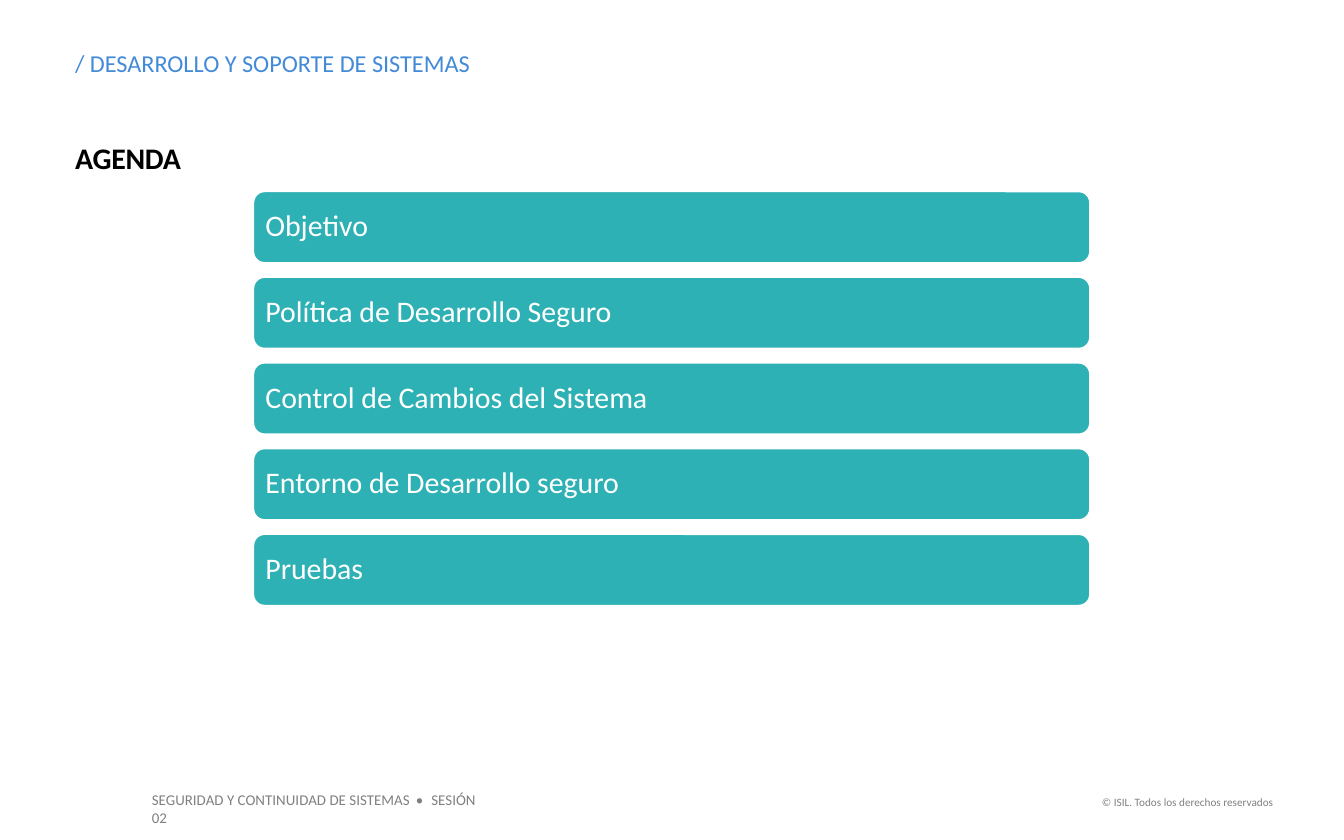
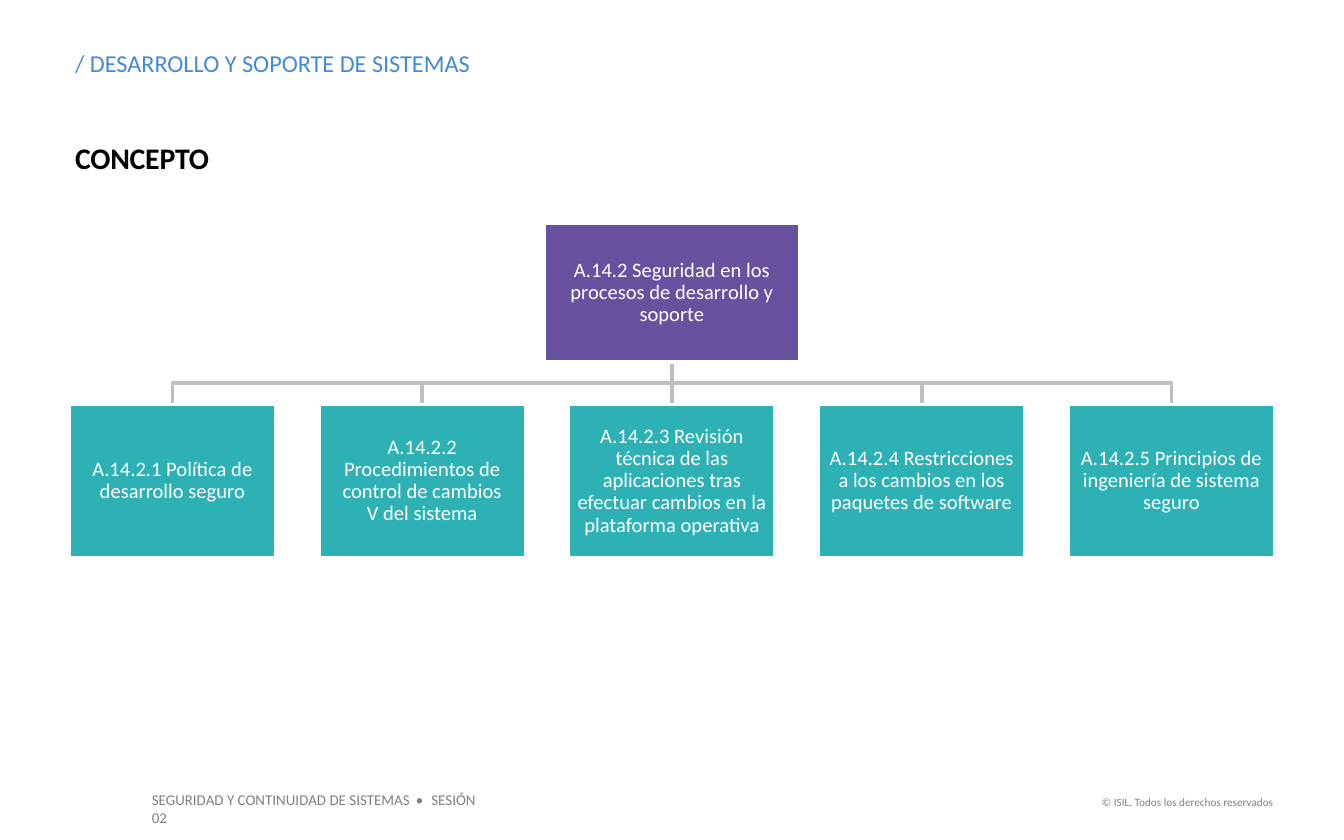
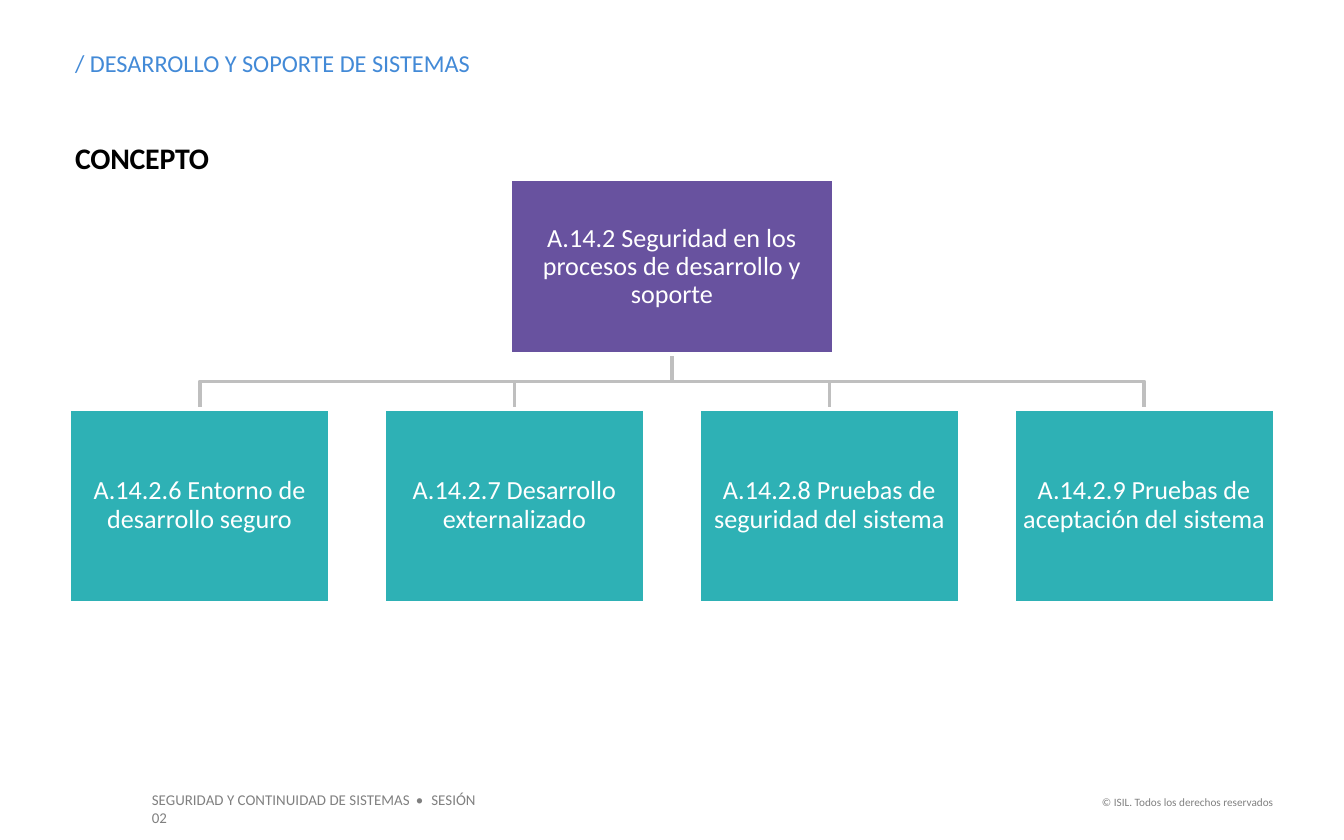
import pptx
import pptx.util
import pptx.dml.color
import pptx.enum.shapes
import pptx.enum.text
import pptx.oxml
import pptx.oxml.ns

Cm = pptx.util.Cm
ALIGN = pptx.enum.text.PP_ALIGN
ANCHOR = pptx.enum.text.MSO_ANCHOR
SHAPE = pptx.enum.shapes.MSO_SHAPE

FONT = "Calibri"
COLORS = {
    "header": "438AD7",
    "title": "000000",
    "footer": "808080",
    "teal": "2EB1B5",
    "purple": "68529F",
    "branch": "BFBFBF",
    "white": "FFFFFF",
}
HEADER = "/ DESARROLLO Y SOPORTE DE SISTEMAS"
COURSE = (("SEGURIDAD Y CONTINUIDAD DE SISTEMAS", 0), (" • ", 1.2), ("SESIÓN 02", 0))
RIGHTS = "© ISIL. Todos los derechos reservados"
ROOT_TOPIC = "A.14.2 Seguridad en los procesos de desarrollo y soporte"


def rgb(name):
    return pptx.dml.color.RGBColor.from_string(COLORS[name])


def write_text(frame, text, size=11, color="white", bold=False, align=ALIGN.LEFT,
               anchor=ANCHOR.TOP, margins=None, line_spacing=None, spacing=0):
    frame.word_wrap = True
    frame.vertical_anchor = anchor
    if margins is not None:
        frame.margin_left = frame.margin_right = Cm(margins)
        frame.margin_top = frame.margin_bottom = Cm(margins)
    paragraph = frame.paragraphs[0]
    paragraph.alignment = align
    paragraph.line_spacing = line_spacing
    pieces = ((text, spacing),) if isinstance(text, str) else text
    for piece, piece_spacing in pieces:
        for index, line in enumerate(piece.split("\n")):
            if index:
                paragraph.add_line_break()
            run = paragraph.add_run()
            run.text = line
            run.font.name = FONT
            run.font.size = pptx.util.Pt(size)
            run.font.bold = bold
            run.font.color.rgb = rgb(color)
            if piece_spacing:
                run.font._element.set("spc", str(round(piece_spacing * 100)))


class Deck:
    def __init__(self, width, height):
        self.presentation = pptx.Presentation()
        self.presentation.slide_width = Cm(width)
        self.presentation.slide_height = Cm(height)
        self.center = width / 2
        self.slide = None

    def add_slide(self, title):
        self.slide = self.presentation.slides.add_slide(self.presentation.slide_layouts[6])
        self.add_text(COURSE, 2.62, 14.83, 6.96, 0.61, size=8, color="footer")
        self.add_text(RIGHTS, 20.5, 14.91, 3.81, 0.51, size=6, color="footer", align=ALIGN.RIGHT)
        self.add_text(HEADER, 1.42, 0.91, 11.71, 0.56, size=13, color="header", margins=0)
        self.add_text(title, 1.42, 2.64, 22.68, 0.69, size=16, color="title", bold=True,
                      margins=0, spacing=-0.1)

    def add_text(self, text, left, top, width, height, **style):
        box = self.slide.shapes.add_textbox(Cm(left), Cm(top), Cm(width), Cm(height))
        write_text(box.text_frame, text, **style)

    def add_box(self, text, left, top, width, height, kind=SHAPE.RECTANGLE, fill="teal", **style):
        box = self.slide.shapes.add_shape(kind, Cm(left), Cm(top), Cm(width), Cm(height))
        box.shadow.inherit = False
        box.fill.solid()
        box.fill.fore_color.rgb = rgb(fill)
        self.style_line(box.line, "white")
        write_text(box.text_frame, text, anchor=ANCHOR.MIDDLE, line_spacing=0.9, **style)
        return box

    def style_line(self, line, color):
        line.color.rgb = rgb(color)
        line.width = pptx.util.Pt(2)

    def add_elbow(self, start_x, start_y, end_x, end_y):
        middle_y = (start_y + end_y) / 2
        builder = self.slide.shapes.build_freeform(Cm(start_x), Cm(start_y))
        corners = ((start_x, middle_y), (end_x, middle_y), (end_x, end_y))
        builder.add_line_segments([(Cm(x), Cm(y)) for x, y in corners], close=False)
        elbow = builder.convert_to_shape()
        elbow.shadow.inherit = False
        elbow.fill.background()
        self.style_line(elbow.line, "branch")

    def add_straight(self, x, start_y, end_y):
        connector = self.slide.shapes.add_connector(
            pptx.enum.shapes.MSO_CONNECTOR.STRAIGHT, Cm(x), Cm(start_y), Cm(x), Cm(end_y))
        self.style_line(connector.line, "branch")
        properties = connector._element.spPr
        properties.append(pptx.oxml.parse_xml(
            f"<a:effectLst {pptx.oxml.ns.nsdecls('a')}/>"))
        return connector

    def add_agenda(self, topics):
        for index, topic in enumerate(topics):
            self.add_box(topic, 4.77, 3.6 + 1.62 * index, 15.85, 1.39,
                         kind=SHAPE.ROUNDED_RECTANGLE, size=16, margins=0.18)

    def add_tree(self, topics, root_top, root_size, child_top, child_size, pitch, size):
        root_width, root_height = root_size
        child_width, child_height = child_size
        root_bottom = root_top + root_height
        middle = (len(topics) - 1) / 2
        centers = [self.center + (index - middle) * pitch for index in range(len(topics))]
        connectors = {}
        for index, center in reversed(list(enumerate(centers))):
            if index == middle:
                connectors[index] = self.add_straight(center, root_bottom, child_top)
            else:
                self.add_elbow(self.center, root_bottom, center, child_top)
        style = {"size": size, "align": ALIGN.CENTER, "margins": 0.03}
        root = self.add_box(ROOT_TOPIC, self.center - root_width / 2, root_top,
                            root_width, root_height, fill="purple", **style)
        for index, (topic, center) in enumerate(zip(topics, centers)):
            child = self.add_box(topic, center - child_width / 2, child_top,
                                 child_width, child_height, **style)
            if index in connectors:
                connectors[index].begin_connect(root, 2)
                connectors[index].end_connect(child, 0)


def main():
    deck = Deck(25.4, 15.88)

    deck.add_slide("AGENDA")
    deck.add_agenda([
        "Objetivo",
        "Política de Desarrollo Seguro",
        "Control de Cambios del Sistema",
        "Entorno de Desarrollo seguro",
        "Pruebas",
    ])

    deck.add_slide("CONCEPTO")
    deck.add_tree([
        "A.14.2.1 Política de desarrollo seguro",
        "A.14.2.2 Procedimientos de control de cambios\nV del sistema",
        "A.14.2.3 Revisión técnica de las aplicaciones tras efectuar cambios "
        "en la plataforma operativa",
        "A.14.2.4 Restricciones\na los cambios en los paquetes de software",
        "A.14.2.5 Principios de ingeniería de sistema seguro",
    ], root_top=4.22, root_size=(4.84, 2.62), child_top=7.65, child_size=(3.91, 2.89),
        pitch=4.72, size=11)

    deck.add_slide("CONCEPTO")
    deck.add_tree([
        "A.14.2.6 Entorno de desarrollo seguro",
        "A.14.2.7 Desarrollo externalizado",
        "A.14.2.8 Pruebas de seguridad del sistema",
        "A.14.2.9 Pruebas de aceptación del sistema",
    ], root_top=3.39, root_size=(6.12, 3.31), child_top=7.73, child_size=(4.93, 3.66),
        pitch=5.95, size=14)

    deck.presentation.save("out.pptx")


if __name__ == "__main__":
    main()
